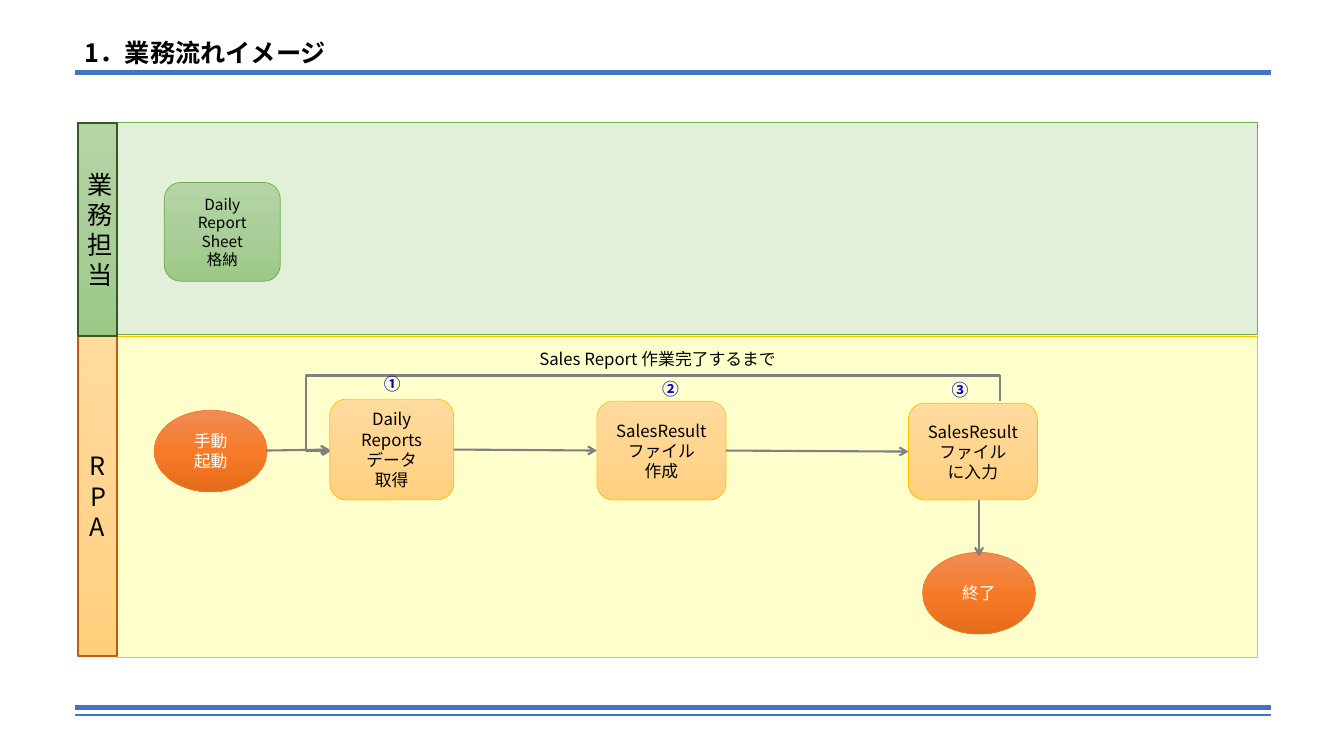
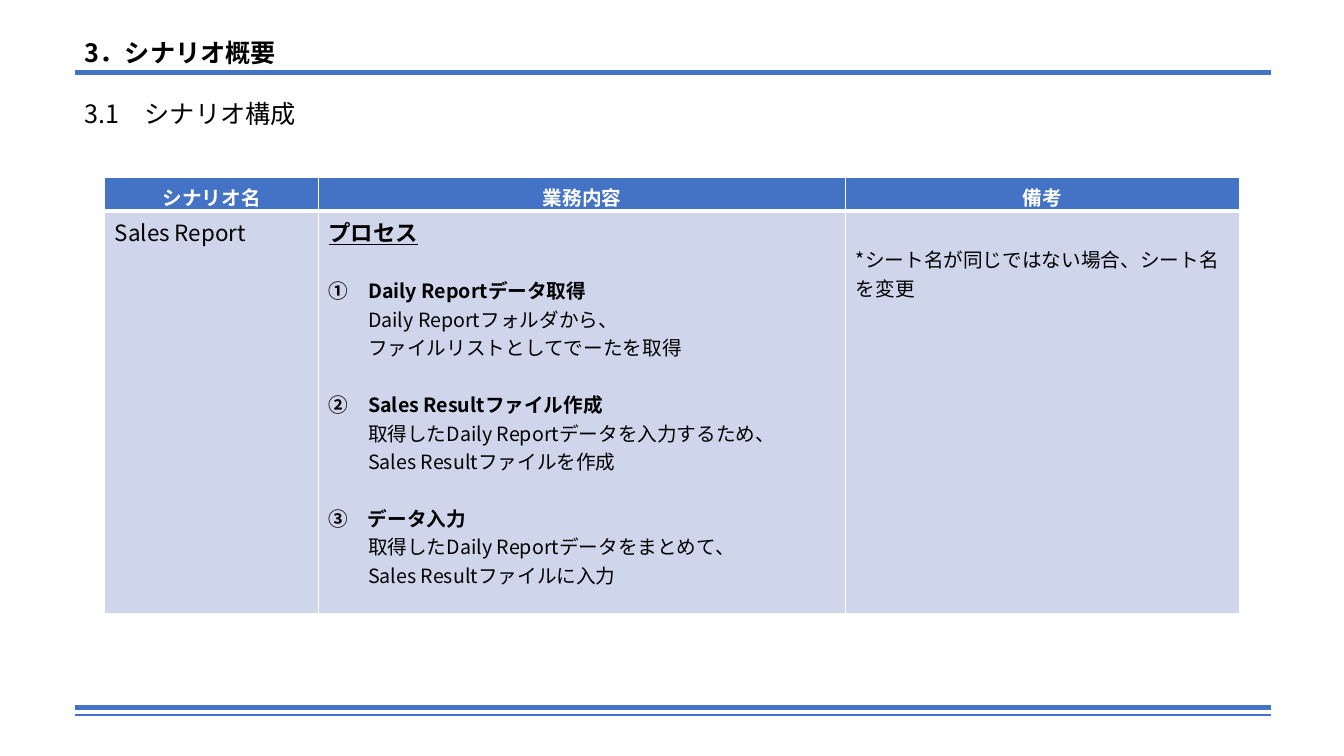
from copy import deepcopy

from pptx import Presentation
from pptx.dml.color import RGBColor
from pptx.enum import shapes, text
from pptx.oxml import ns, xmlchemy
from pptx.util import Inches, Pt

FONT = "Noto Sans CJK JP"
BLACK = RGBColor(0x00, 0x00, 0x00)
WHITE = RGBColor(0xFF, 0xFF, 0xFF)
GRAY = RGBColor(0x80, 0x80, 0x80)
BLUE = RGBColor(0x44, 0x72, 0xC4)
NUMBER_BLUE = RGBColor(0x00, 0x00, 0xCC)
CELL_BLUE = RGBColor(0xCF, 0xD5, 0xEA)
PALE_GREEN = RGBColor(0xE2, 0xF0, 0xD9)
GREEN = RGBColor(0x70, 0xAD, 0x47)
DARK_GREEN = RGBColor(0x38, 0x57, 0x23)
PALE_YELLOW = RGBColor(0xFF, 0xFF, 0xCC)
GOLD = RGBColor(0xFF, 0xC0, 0x00)
ORANGE = RGBColor(0xED, 0x7D, 0x31)
DARK_ORANGE = RGBColor(0xC5, 0x5A, 0x11)
# Gradients run from top to bottom in three even stops.
GREEN_GRADIENT = [RGBColor(0xB5, 0xD5, 0xA7), RGBColor(0xAA, 0xCE, 0x9A), RGBColor(0x9C, 0xC9, 0x87)]
GOLD_GRADIENT = [RGBColor(0xFF, 0xDB, 0x9E), RGBColor(0xFF, 0xD5, 0x90), RGBColor(0xFF, 0xD0, 0x7C)]
ORANGE_GRADIENT = [RGBColor(0xF1, 0x8C, 0x57), RGBColor(0xF6, 0x7B, 0x28), RGBColor(0xE5, 0x6C, 0x19)]

RECTANGLE = shapes.MSO_SHAPE.RECTANGLE
ROUNDED = shapes.MSO_SHAPE.ROUNDED_RECTANGLE
OVAL = shapes.MSO_SHAPE.OVAL
LEFT = text.PP_ALIGN.LEFT
CENTER = text.PP_ALIGN.CENTER
LEFT_SITE, RIGHT_SITE = 1, 3


def add_xml(parent, tag, **attributes):
    child = xmlchemy.OxmlElement(tag)
    for name, value in attributes.items():
        child.set(name, str(value))
    parent.append(child)
    return child


def format_paragraph(paragraph, size, color=BLACK, bold=False, align=LEFT, underline=False):
    paragraph.alignment = align
    for run in paragraph.runs:
        font = run.font
        font.name, font.size, font.bold, font.underline = FONT, Pt(size), bold, underline
        font.color.rgb = color
        add_xml(font._element, "a:ea", typeface=FONT)


def write(frame, content, size, **style):
    frame.text = content
    for paragraph in frame.paragraphs:
        format_paragraph(paragraph, size, **style)


class Deck:
    """Holds the presentation, its style and the slide being built."""

    def __init__(self):
        self.presentation = Presentation()
        self.presentation.slide_width = Inches(13.33)
        self.presentation.slide_height = Inches(7.5)
        self.slide = None

    def add_slide(self, title):
        self.slide = self.presentation.slides.add_slide(self.presentation.slide_layouts[5])
        for y, width in ((7.02, 3), (7.09, 1.5), (0.72, 3)):
            self.line((0.74, y), (12.61, y), BLUE, width)
        shape = self.slide.shapes.title
        shape.left, shape.top, shape.width, shape.height = map(Inches, (0.74, 0.32, 4.5, 0.4))
        frame = shape.text_frame
        frame.vertical_anchor = text.MSO_ANCHOR.TOP
        frame.auto_size = text.MSO_AUTO_SIZE.NONE
        write(frame, title, 18, bold=True)

    def line(self, start, end, color, width, kind=shapes.MSO_CONNECTOR.STRAIGHT):
        connector = self.slide.shapes.add_connector(kind, *map(Inches, start + end))
        connector.line.color.rgb = color
        connector.line.width = Pt(width)
        add_xml(connector.element.spPr, "a:effectLst")
        return connector

    def arrow(self, start, end, kind=shapes.MSO_CONNECTOR.STRAIGHT):
        connector = self.line(start, end, GRAY, 1.5, kind)
        add_xml(connector.line._get_or_add_ln(), "a:tailEnd", type="arrow")
        return connector

    def loop_arrow(self, left, top, width, height, bends):
        """Draw a four-part elbow, turned so that it leaves upwards and returns from the left."""
        connector = self.arrow((left, top), (left + width, top + height), shapes.MSO_CONNECTOR.ELBOW)
        properties = connector.element.spPr
        frame = properties.find(ns.qn("a:xfrm"))
        for name, value in (("rot", "16200000"), ("flipH", "1"), ("flipV", "1")):
            frame.set(name, value)
        geometry = properties.find(ns.qn("a:prstGeom"))
        geometry.set("prst", "bentConnector4")
        for child in list(geometry):
            geometry.remove(child)
        guides = add_xml(geometry, "a:avLst")
        for number, bend in enumerate(bends, 1):
            add_xml(guides, "a:gd", name=f"adj{number}", fmla=f"val {bend}")

    def text_box(self, box, content, size, **style):
        frame = self.slide.shapes.add_textbox(*map(Inches, box)).text_frame
        frame.word_wrap = True
        write(frame, content, size, **style)

    def block(self, kind, box, fill, outline, width=0.5, content="", size=12, color=BLACK):
        """Draw a shape; fill is one colour or a list of gradient colours."""
        shape = self.slide.shapes.add_shape(kind, *map(Inches, box))
        shape.shadow.inherit = False
        shape.line.color.rgb = outline
        shape.line.width = Pt(width)
        if isinstance(fill, list):
            self.gradient(shape, fill)
        else:
            shape.fill.solid()
            shape.fill.fore_color.rgb = fill
        if content:
            shape.text_frame.vertical_anchor = text.MSO_ANCHOR.MIDDLE
            write(shape.text_frame, content, size, color=color, align=CENTER)
        return shape

    def gradient(self, shape, colors):
        shape.fill.gradient()
        shape.fill.gradient_angle = 270
        stop_list = shape.element.spPr.find(".//" + ns.qn("a:gsLst"))
        stop_list.insert(1, deepcopy(stop_list[0]))
        for index, (stop, color) in enumerate(zip(shape.fill.gradient_stops, colors)):
            stop.color.rgb = color
            stop.position = index / 2

    def table(self, box, widths, heights):
        shape = self.slide.shapes.add_table(len(heights), len(widths), *map(Inches, box))
        table = shape.table
        table.horz_banding = False
        for column, width in zip(table.columns, widths):
            column.width = Inches(width)
        for row, height in zip(table.rows, heights):
            row.height = Inches(height)
        return table

    def cell(self, cell, fill, top=1, bottom=1):
        """Fill a cell and give it white borders; top and bottom are widths in points."""
        properties = cell._tc.get_or_add_tcPr()
        for side, width in (("L", 1), ("R", 1), ("T", top), ("B", bottom)):
            border = add_xml(properties, f"a:ln{side}", w=int(Pt(width)))
            add_xml(add_xml(border, "a:solidFill"), "a:srgbClr", val=WHITE)
        cell.fill.solid()
        cell.fill.fore_color.rgb = fill


def build_flow(deck):
    deck.add_slide("1．業務流れイメージ")
    deck.block(RECTANGLE, (1.16, 3.34, 11.31, 3.18), PALE_YELLOW, GOLD)
    deck.block(RECTANGLE, (0.77, 1.21, 11.7, 2.11), PALE_GREEN, GREEN)
    deck.block(RECTANGLE, (0.77, 3.33, 0.39, 3.18), GOLD_GRADIENT, DARK_ORANGE, 1.5, "RPA", 18)
    deck.block(RECTANGLE, (0.77, 1.22, 0.39, 2.11), GREEN_GRADIENT, DARK_GREEN, 1.5, "業務担当", 18)
    deck.block(ROUNDED, (1.63, 1.81, 1.15, 0.98), GREEN_GRADIENT, GREEN,
               content="Daily Report Sheet\n格納", size=11)
    for left, top, label in ((1.53, 4.07, "手動\n起動"), (9.15, 5.48, "終了")):
        deck.block(OVAL, (left, top, 1.12, 0.81), ORANGE_GRADIENT, ORANGE, content=label, color=WHITE)

    deck.arrow((2.64, 4.47), (3.27, 4.46))
    deck.loop_arrow(6.35, 0.91, 0.5, 6.63, (-49900, 103800))
    deck.arrow((9.71, 4.95), (9.71, 5.52))

    steps = [
        ((3.27, 3.96, 1.23, 1), "Daily Reportsデータ\n取得", "①", (3.71, 3.66)),
        ((5.92, 3.98, 1.28, 0.98), "SalesResultファイル\n作成", "②", (6.47, 3.71)),
        ((9.01, 4, 1.28, 0.96), "SalesResultファイル\nに入力", "③", (9.34, 3.72)),
    ]
    previous = None
    for box, label, number, number_at in steps:
        step = deck.block(ROUNDED, box, GOLD_GRADIENT, GOLD, content=label)
        deck.text_box(number_at + (0.36, 0.3), number, 12, color=NUMBER_BLUE, bold=True, align=CENTER)
        if previous:
            connector = deck.arrow((0, 0), (1, 1))
            connector.begin_connect(previous, RIGHT_SITE)
            connector.end_connect(step, LEFT_SITE)
        previous = step
    deck.text_box((5.25, 3.41, 2.75, 0.3), "Sales Report 作業完了するまで", 12)


def build_scenario(deck):
    deck.add_slide("3．シナリオ概要")
    deck.text_box((0.74, 0.93, 8.71, 0.4), "3.1　シナリオ構成", 18)
    table = deck.table((1.04, 1.76, 11.25, 4.33), (2.12, 5.23, 3.9), (0.33, 4))
    for column, heading in enumerate(("シナリオ名", "業務内容", "備考")):
        header = table.cell(0, column)
        header.margin_bottom = 0
        deck.cell(header, BLUE, bottom=3)
        write(header.text_frame, heading, 14, color=WHITE, bold=True, align=CENTER)
        deck.cell(table.cell(1, column), CELL_BLUE, top=3)

    name, process, remark = (table.cell(1, column) for column in range(3))
    write(name.text_frame, "Sales Report", 16)
    remark.margin_top = Inches(0.34)
    write(remark.text_frame, "*シート名が同じではない場合、シート名を変更", 14)

    write(process.text_frame, "プロセス", 16, bold=True, underline=True)
    tasks = [
        ("①　Daily Reportデータ取得",
         "Daily Reportフォルダから、", "ファイルリストとしてでーたを取得"),
        ("②　Sales Resultファイル作成",
         "取得したDaily Reportデータを入力するため、", "Sales Resultファイルを作成"),
        ("③　データ入力",
         "取得したDaily Reportデータをまとめて、", "Sales Resultファイルに入力"),
    ]
    for heading, *details in tasks:
        paragraph = process.text_frame.add_paragraph()
        paragraph.text = heading
        paragraph.space_before = Pt(20)
        format_paragraph(paragraph, 14, bold=True)
        for detail in details:
            paragraph = process.text_frame.add_paragraph()
            paragraph.text = detail
            format_paragraph(paragraph, 14)
            paragraph._p.get_or_add_pPr().set("marL", str(Inches(0.39)))


def main():
    deck = Deck()
    build_flow(deck)
    build_scenario(deck)
    deck.presentation.save("out.pptx")


if __name__ == "__main__":
    main()
